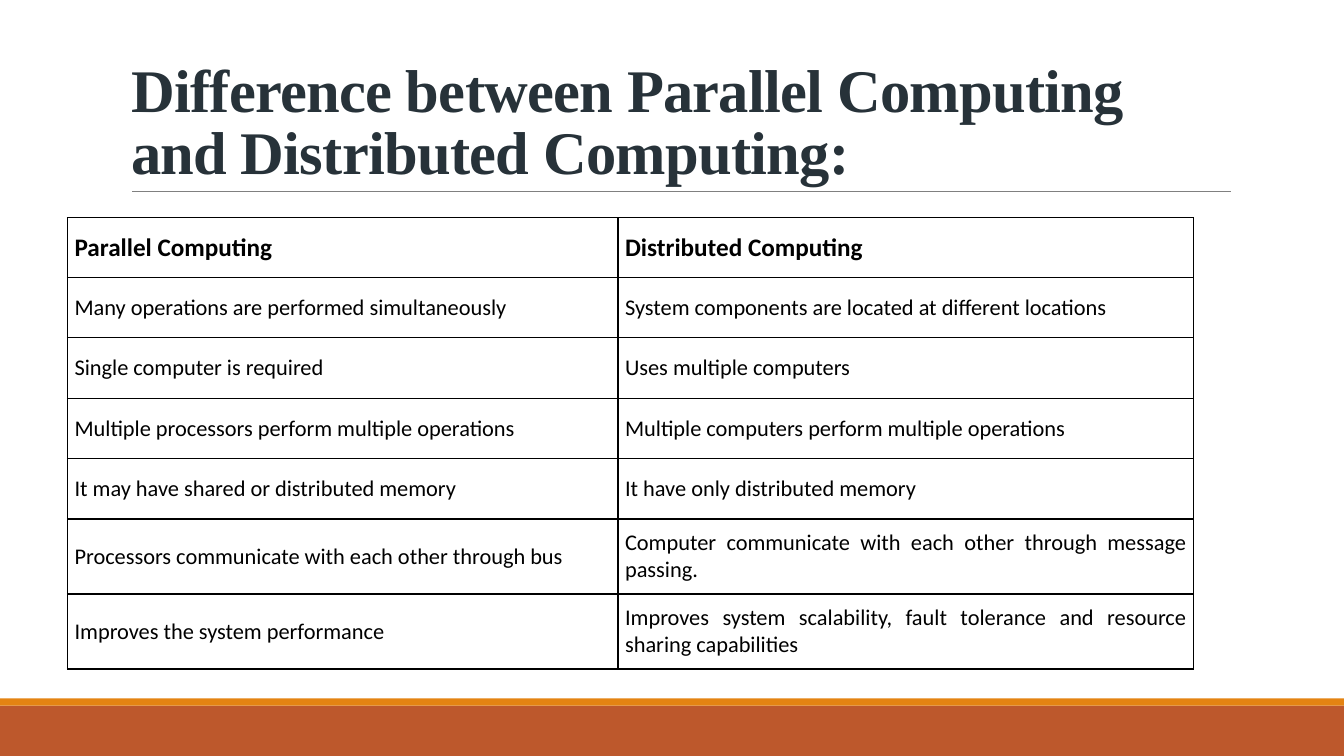
from lxml.etree import SubElement
from pptx import Presentation
from pptx.dml.color import RGBColor
from pptx.enum.shapes import MSO_CONNECTOR, MSO_SHAPE
from pptx.enum.text import MSO_ANCHOR, MSO_AUTO_SIZE, PP_ALIGN
from pptx.oxml import parse_xml
from pptx.oxml.ns import nsdecls, qn
from pptx.util import Pt

PX = 9144  # EMU per px, 100 px to the inch

RUST = RGBColor(0xBD, 0x58, 0x2C)
ORANGE = RGBColor(0xE4, 0x83, 0x12)
GREY = RGBColor(0x80, 0x80, 0x80)
SLATE = RGBColor(0x27, 0x32, 0x39)
BLACK = RGBColor(0, 0, 0)

ROWS = [
    ("Parallel Computing", "Distributed Computing"),
    ("Many operations are performed simultaneously",
     "System components are located at different locations"),
    ("Single computer is required", "Uses multiple computers"),
    ("Multiple processors perform multiple operations",
     "Multiple computers perform multiple operations"),
    ("It may have shared or distributed memory",
     "It have only distributed memory"),
    ("Processors communicate with each other through bus",
     "Computer communicate with each other through message passing."),
    ("Improves the system performance",
     "Improves system scalability, fault tolerance and resource sharing capabilities"),
]
COL_WIDTHS = [546, 571]
ROW_HEIGHTS = [59] + [60] * 4 + [74] * 2


class SlideBuilder:
    title_font = "Times New Roman"
    body_font = "Calibri"

    def __init__(self, prs):
        self.s = prs.slides.add_slide(prs.slide_layouts[5])

    def box(self, *lengths):
        return [n * PX for n in lengths]

    def style(self, r, font, size, color, bold):
        r.font.name, r.font.size, r.font.bold = font, Pt(size), bold
        r.font.color.rgb = color

    def bar(self, x, y, w, h, color):
        sp = self.s.shapes.add_shape(MSO_SHAPE.RECTANGLE, *self.box(x, y, w, h))
        sp.shadow.inherit = False
        sp.fill.solid()
        sp.fill.fore_color.rgb = color
        sp.line.fill.background()

    def rule(self, x1, y1, x2, y2, color, width):
        line = self.s.shapes.add_connector(
            MSO_CONNECTOR.STRAIGHT, *self.box(x1, y1, x2, y2))
        line.line.color.rgb = color
        line.line.width = Pt(width)
        SubElement(line._element.spPr, qn("a:effectLst"))

    def title(self, text, x, y, w, h):
        sp = self.s.shapes.title
        sp.left, sp.top, sp.width, sp.height = self.box(x, y, w, h)
        tf = sp.text_frame
        tf.text = text
        tf.word_wrap = True
        tf.auto_size = MSO_AUTO_SIZE.NONE
        tf.vertical_anchor = MSO_ANCHOR.BOTTOM
        p = tf.paragraphs[0]
        p.alignment = PP_ALIGN.LEFT
        p.line_spacing = 0.85
        r = p.runs[0]
        self.style(r, self.title_font, 43.2, SLATE, True)
        r._r.get_or_add_rPr().set("spc", "-50")

    def borders(self, cell, color, width):
        tcPr = cell._tc.get_or_add_tcPr()
        for i, side in enumerate("LRTB"):
            tcPr.insert(i, parse_xml(
                f'<a:ln{side} {nsdecls("a")} w="{Pt(width)}"><a:solidFill>'
                f'<a:srgbClr val="{color}"/></a:solidFill></a:ln{side}>'))

    def cell(self, cell, text, header):
        cell.fill.background()
        self.borders(cell, BLACK, 1)
        cell.vertical_anchor = MSO_ANCHOR.MIDDLE
        cell.margin_left = cell.margin_right = 7 * PX
        cell.margin_top = cell.margin_bottom = (7 if header else 10) * PX
        p = cell.text_frame.paragraphs[0]
        p.text = text
        p.alignment = PP_ALIGN.JUSTIFY
        self.style(p.runs[0], self.body_font, 18 if header else 16, BLACK, header)

    def table(self, x, y, rows, widths, heights):
        table = self.s.shapes.add_table(
            len(rows), len(widths),
            *self.box(x, y, sum(widths), sum(heights))).table
        table.first_row = table.horz_banding = False
        for col, w in zip(table.columns, widths):
            col.width = w * PX
        for row, h in zip(table.rows, heights):
            row.height = h * PX
        for i, texts in enumerate(rows):
            for j, text in enumerate(texts):
                self.cell(table.cell(i, j), text, header=i == 0)


def main():
    prs = Presentation()
    prs.slide_width, prs.slide_height = 1333 * PX, 750 * PX
    b = SlideBuilder(prs)

    # Footer bands
    b.bar(0, 700, 1333, 50, RUST)
    b.bar(0, 693, 1333, 7, ORANGE)

    # Title and the rule below it
    b.rule(131, 190, 1221, 190, GREY, 0.5)
    b.title("Difference between Parallel Computing and Distributed Computing:",
            120, 31, 1100, 159)

    # Comparison table
    b.table(67, 216, ROWS, COL_WIDTHS, ROW_HEIGHTS)

    prs.save("out.pptx")


if __name__ == "__main__":
    main()
